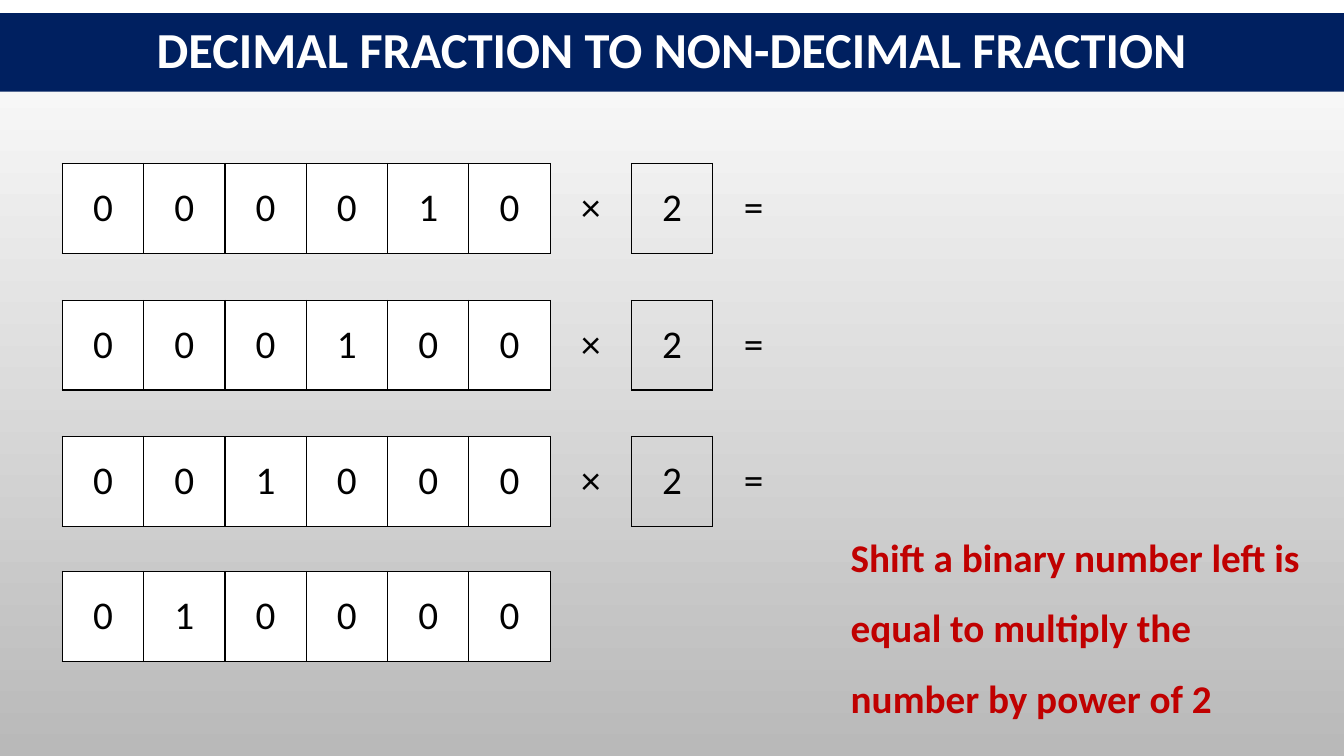
from lxml import etree
from pptx import Presentation, util as u
from pptx.dml.color import RGBColor
from pptx.enum import shapes, text
from pptx.oxml.ns import qn

COLORS = {"navy": "002060", "white": "FFFFFF", "black": "000000",
          "red": "C00000", "grey": "B9B9B9"}
FONT = "Calibri"
# Top of each row in cm, the binary digits, the operator, factor and equals sign
ROWS = [
    (4.12, "000010", ["×", "2"], "="),
    (7.57, "000100", ["×", "2"], "="),
    (11.0, "001000", ["×", "2"], "="),
    (14.4, "010000", ["", ""], ""),
]
LEFT, CELL_W, CELL_H = 1.57, 2.05, 2.26


def rgb(name):
    return RGBColor.from_string(COLORS[name])


def style_paragraph(p, size, color, bold=False, align=None, spacing=None):
    p.font.name = FONT
    p.font.size = u.Pt(size)
    p.font.bold = bold
    p.font.color.rgb = rgb(color)
    p.alignment = align
    p.line_spacing = spacing


def set_background(s):
    fill = s.background.fill
    fill.gradient()
    fill.gradient_angle = 270
    for stop, color in zip(fill.gradient_stops, ("white", "grey")):
        stop.color.rgb = rgb(color)


def set_borders(cell, sides):
    """Draw thin black lines on the named sides (L, R, T, B) and none elsewhere."""
    tc_pr = cell._tc.get_or_add_tcPr()
    for side in "LRTB":
        ln = etree.SubElement(tc_pr, qn(f"a:ln{side}"), w=str(u.Pt(1)))
        if side in sides:
            fill = etree.SubElement(ln, qn("a:solidFill"))
            etree.SubElement(fill, qn("a:srgbClr"), val=COLORS["black"])
        else:
            etree.SubElement(ln, qn("a:noFill"))


def border_sides(values, col):
    """Box the digits; other cells share only the edges of their neighbours."""
    if values[col].isdigit():
        return "LRTB"
    left = "L" if col > 0 and values[col - 1] else ""
    right = "R" if col + 1 < len(values) and values[col + 1] else ""
    return left + right


def add_number_table(s, values, left, top, filled=0):
    """Add a one-row table whose first `filled` cells are white."""
    frame = s.shapes.add_table(1, len(values), u.Cm(left), u.Cm(top),
                               u.Cm(CELL_W * len(values)), u.Cm(CELL_H))
    table = frame.table
    table.first_row = table.horz_banding = False
    for col, value in enumerate(values):
        table.columns[col].width = u.Cm(CELL_W)
        cell = table.cell(0, col)
        cell.text = value
        cell.vertical_anchor = text.MSO_ANCHOR.MIDDLE
        style_paragraph(cell.text_frame.paragraphs[0], 28, "black",
                        align=text.PP_ALIGN.CENTER)
        set_borders(cell, border_sides(values, col))
        if col < filled:
            cell.fill.solid()
            cell.fill.fore_color.rgb = rgb("white")
        else:
            cell.fill.background()


def add_banner(s, title, width):
    sp = s.shapes.add_shape(shapes.MSO_SHAPE.RECTANGLE, 0, u.Cm(0.33),
                            width, u.Cm(1.98))
    sp.shadow.inherit = False
    sp.fill.solid()
    sp.fill.fore_color.rgb = rgb("navy")
    sp.line.fill.background()
    tf = sp.text_frame
    tf.text = title
    tf.vertical_anchor = text.MSO_ANCHOR.MIDDLE
    style_paragraph(tf.paragraphs[0], 36, "white", True,
                    text.PP_ALIGN.CENTER, 0.9)


def add_note(s, note):
    sp = s.shapes.add_textbox(u.Cm(21.19), u.Cm(12.71), u.Cm(12.47), u.Cm(5.64))
    tf = sp.text_frame
    tf.word_wrap = True
    tf.auto_size = text.MSO_AUTO_SIZE.SHAPE_TO_FIT_TEXT
    tf.text = note
    style_paragraph(tf.paragraphs[0], 28, "red", True, spacing=1.5)


def main():
    prs = Presentation()
    prs.slide_width, prs.slide_height = u.Cm(33.87), u.Cm(19.05)
    s = prs.slides.add_slide(prs.slide_layouts[6])
    set_background(s)
    add_banner(s, "DECIMAL FRACTION TO NON-DECIMAL FRACTION", prs.slide_width)
    for top, digits, factor, equals in ROWS:
        values = [*digits, *factor]
        add_number_table(s, values, LEFT, top, filled=len(digits))
        add_number_table(s, [equals], LEFT + CELL_W * len(values), top)
    add_note(s, "Shift a binary number left is equal to multiply "
                "the number by power of 2")
    prs.save("out.pptx")


if __name__ == "__main__":
    main()
